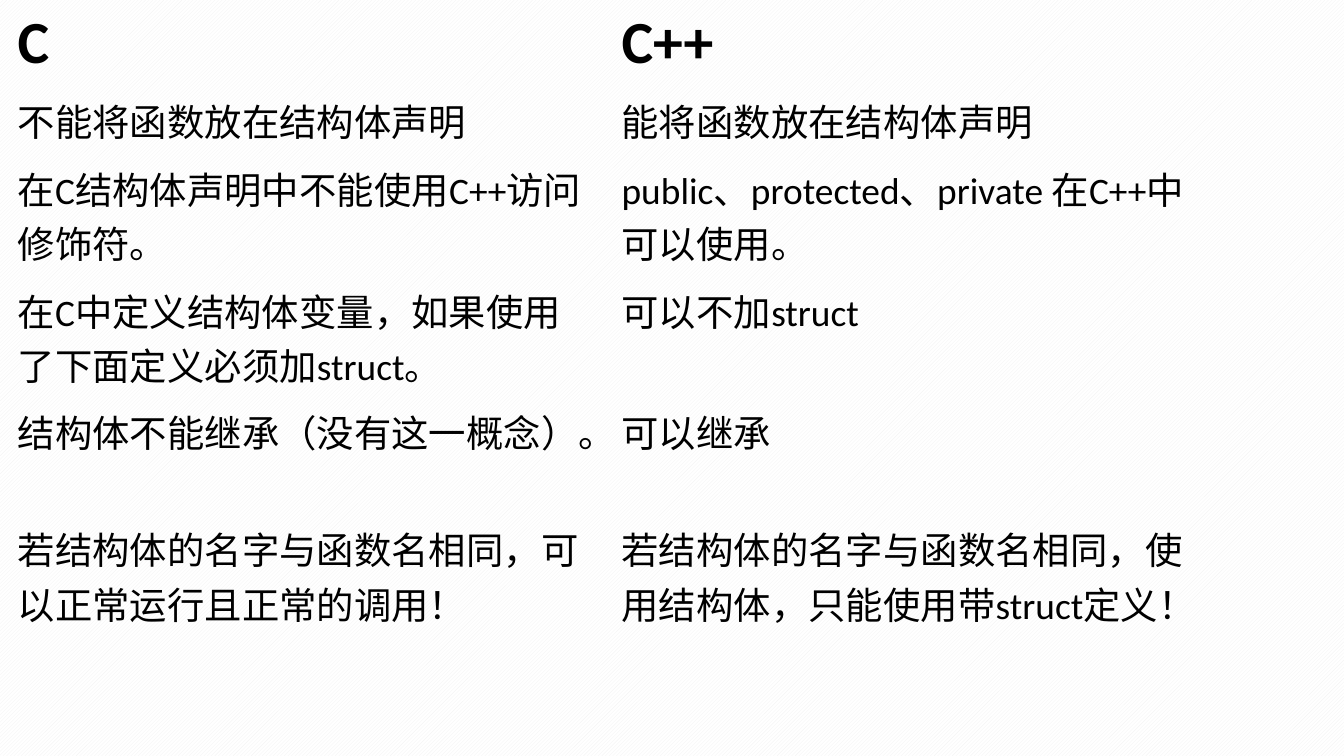
from pptx import Presentation
from pptx.dml.color import RGBColor
from pptx.enum.dml import MSO_PATTERN as Pattern
from pptx.util import Cm, Pt

BLACK = RGBColor(0x00, 0x00, 0x00)
WHITE = RGBColor(0xFF, 0xFF, 0xFF)
PALE_GREY = RGBColor(0xF2, 0xF2, 0xF2)
FONT = "Calibri"
PLAIN_STYLE = "{2D5ABB26-0587-4C30-8999-92F81FD0307C}"

ROW_HEIGHTS = [1.35, 1.27, 2.21, 2.21, 2.21, 3.15]
COMPARISON = [
    ("C", "C++"),
    ("不能将函数放在结构体声明", "能将函数放在结构体声明"),
    ("在C结构体声明中不能使用C++访问修饰符。",
     "public、protected、private 在C++中可以使用。"),
    ("在C中定义结构体变量，如果使用了下面定义必须加struct。", "可以不加struct"),
    ("结构体不能继承（没有这一概念）。", "可以继承"),
    ("若结构体的名字与函数名相同，可以正常运行且正常的调用！",
     "若结构体的名字与函数名相同，使用结构体，只能使用带struct定义！"),
]


def write_text(frame, text, size=20, bold=False, color=BLACK):
    """Write one formatted paragraph into a text frame."""
    span = frame.paragraphs[0].add_run()
    span.text = text
    span.font.name = FONT
    span.font.size = Pt(size)
    span.font.bold = bold
    span.font.color.rgb = color


def paint_background(page):
    """Fill the page with faint upward diagonals."""
    fill = page.background.fill
    fill.patterned()
    fill.pattern = Pattern.LIGHT_UPWARD_DIAGONAL
    fill.fore_color.rgb = PALE_GREY
    fill.back_color.rgb = WHITE


def add_comparison(page, left, top, width):
    """Place the two-column comparison table, without fills or borders."""
    height = Cm(sum(ROW_HEIGHTS))
    table = page.shapes.add_table(
        len(COMPARISON), 2, left, top, width, height).table
    table.first_row = False
    table.horz_banding = False
    table._tbl.tblPr[0].text = PLAIN_STYLE
    for index, (row, texts) in enumerate(zip(table.rows, COMPARISON)):
        row.height = Cm(ROW_HEIGHTS[index])
        heading = index == 0
        for cell, text in zip(row.cells, texts):
            cell.fill.background()
            write_text(cell.text_frame, text,
                       size=32 if heading else 20, bold=heading)


def main():
    """Build and save the deck."""
    deck = Presentation()
    deck.slide_width, deck.slide_height = Cm(25.4), Cm(14.29)
    page = deck.slides.add_slide(deck.slide_layouts[6])
    paint_background(page)
    add_comparison(page, Cm(0.08), Cm(0), Cm(22.83))
    deck.save("out.pptx")


if __name__ == "__main__":
    main()
